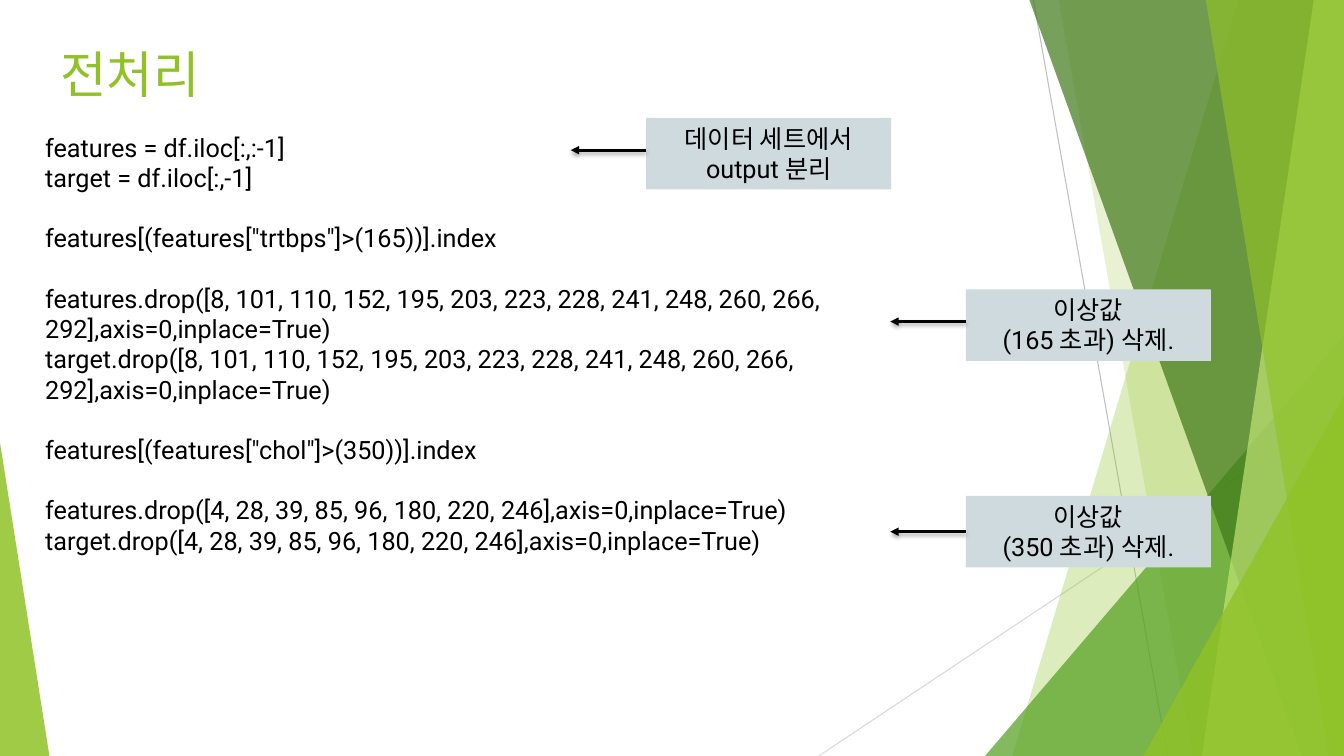
import pptx
import pptx.util
import pptx.dml.color
import pptx.enum.shapes
import pptx.enum.text
import pptx.oxml
import pptx.oxml.ns
from dataclasses import dataclass

Inches = pptx.util.Inches
Pt = pptx.util.Pt
RGBColor = pptx.dml.color.RGBColor
MSO_SHAPE = pptx.enum.shapes.MSO_SHAPE
PP_ALIGN = pptx.enum.text.PP_ALIGN


@dataclass(frozen=True)
class Theme:
    font: str = "Roboto"
    title_size: float = 36
    body_size: float = 18
    code_gap: float = 21.6
    lime: str = "90C226"
    pale_lime: str = "C0E474"
    green: str = "54A021"
    dark_green: str = "3F7819"
    callout: str = "CFDADF"
    ink: str = "000000"
    ray: str = "BFBFBF"
    pale_ray: str = "D9D9D9"


theme = Theme()


def write_text(shape, text, size=theme.body_size, color=theme.ink,
               align=PP_ALIGN.LEFT, anchor=pptx.enum.text.MSO_ANCHOR.TOP, gap=0):
    """One paragraph per line; a blank line becomes space before the next one."""
    frame = shape.text_frame
    frame.word_wrap = True
    frame.vertical_anchor = anchor
    for number, block in enumerate(text.split("\n\n")):
        for row, line in enumerate(block.split("\n")):
            first = number == 0 and row == 0
            paragraph = frame.paragraphs[0] if first else frame.add_paragraph()
            paragraph.alignment = align
            paragraph.space_before = Pt(gap if number and row == 0 else 0)
            run = paragraph.add_run()
            run.text = line
            run.font.name = theme.font
            run.font.size = Pt(size)
            run.font.color.rgb = RGBColor.from_string(color)


def paint(shape, color, opacity=100):
    shape.shadow.inherit = False
    shape.line.fill.background()
    shape.fill.solid()
    shape.fill.fore_color.rgb = RGBColor.from_string(color)
    if opacity < 100:
        color_element = shape.fill._xPr.find(".//" + pptx.oxml.ns.qn("a:srgbClr"))
        color_element.append(pptx.oxml.parse_xml(
            f'<a:alpha {pptx.oxml.ns.nsdecls("a")} val="{opacity * 1000}"/>'))


presentation = pptx.Presentation()
presentation.slide_width = Inches(13.33)
presentation.slide_height = Inches(7.5)
slide = presentation.slides.add_slide(presentation.slide_layouts[6])
shapes = slide.shapes
straight = pptx.enum.shapes.MSO_CONNECTOR.STRAIGHT

# Thin rays behind the facets
for x1, y1, x2, y2, color in [(10.25, 0, 11.58, 7.5, theme.ray),
                              (13.33, 4.03, 8.12, 7.5, theme.pale_ray)]:
    ray = shapes.add_connector(straight, Inches(x1), Inches(y1), Inches(x2), Inches(y2))
    ray.line.color.rgb = RGBColor.from_string(color)
    ray.line.width = Pt(0.75)
    ray._element.spPr.append(pptx.oxml.parse_xml(
        f'<a:effectLst {pptx.oxml.ns.nsdecls("a")}/>'))

# Facets: bands run from a top x to a bottom x and fill to the right edge;
# triangles have a left, top, width and the position of their apex
facets = [
    ("band", (12.28, 10.04), theme.lime, 30),
    ("band", (10.5, 11.83), theme.lime, 20),
    ("triangle", (9.77, 3.33, 3.56, 1), theme.green, 72),
    ("band", (10.21, 12.91), theme.dark_green, 70),
    ("band", (13.03, 11.92), theme.pale_lime, 70),
    ("band", (11.96, 13.18), theme.lime, 65),
    ("triangle", (11.34, 3.93, 1.99, 1), theme.lime, 80),
    ("triangle", (0, 4.39, 0.49, 0), theme.lime, 85),
]
for kind, geometry, color, opacity in facets:
    if kind == "band":
        top_x, bottom_x = geometry
        builder = shapes.build_freeform(Inches(top_x), 0)
        builder.add_line_segments([(Inches(x), Inches(y)) for x, y in
                                   [(13.33, 0), (13.33, 7.5), (bottom_x, 7.5)]])
        facet = builder.convert_to_shape()
    else:
        left, top, width, apex = geometry
        facet = shapes.add_shape(MSO_SHAPE.ISOSCELES_TRIANGLE, Inches(left), Inches(top),
                                 Inches(width), Inches(7.5 - top))
        facet.adjustments[0] = apex
    paint(facet, color, opacity)

# Title
title = shapes.add_textbox(Inches(0.5), Inches(0.38), Inches(1.82), Inches(0.83))
write_text(title, "전처리", size=theme.title_size, color=theme.lime)

# Code
code = shapes.add_textbox(Inches(0.35), Inches(1.26), Inches(9.23), Inches(4.34))
write_text(code, """features = df.iloc[:,:-1]
target = df.iloc[:,-1]

features[(features["trtbps"]>(165))].index

features.drop([8, 101, 110, 152, 195, 203, 223, 228, 241, 248, 260, 266, 292],axis=0,inplace=True)
target.drop([8, 101, 110, 152, 195, 203, 223, 228, 241, 248, 260, 266, 292],axis=0,inplace=True)

features[(features["chol"]>(350))].index

features.drop([4, 28, 39, 85, 96, 180, 220, 246],axis=0,inplace=True)
target.drop([4, 28, 39, 85, 96, 180, 220, 246],axis=0,inplace=True)""", gap=theme.code_gap)

# Callouts, each with an arrow pointing left at the code
callout_width, callout_height, arrow_length = 2.43, 0.71, 0.75
callouts = [
    (6.41, 1.17, 1.49, "데이터 세트에서 output 분리"),
    (9.58, 2.87, 3.19, "이상값\n(165 초과) 삭제."),
    (9.58, 4.92, 5.28, "이상값\n(350 초과) 삭제."),
]
for left, top, arrow_y, text in callouts:
    callout = shapes.add_shape(MSO_SHAPE.RECTANGLE, Inches(left), Inches(top),
                               Inches(callout_width), Inches(callout_height))
    paint(callout, theme.callout)
    write_text(callout, text, align=PP_ALIGN.CENTER)

    arrow = shapes.add_connector(straight, Inches(left), Inches(arrow_y),
                                 Inches(left - arrow_length), Inches(arrow_y))
    if abs(top + callout_height / 2 - arrow_y) < 0.01:
        arrow.begin_connect(callout, 1)
        arrow.end_y = arrow.begin_y
    arrow.line.color.rgb = RGBColor.from_string(theme.ink)
    arrow.line.width = Pt(2)
    arrow.line._get_or_add_ln().append(pptx.oxml.parse_xml(
        f'<a:tailEnd {pptx.oxml.ns.nsdecls("a")} type="triangle"/>'))
    arrow._element.spPr.append(pptx.oxml.parse_xml(
        f'<a:effectLst {pptx.oxml.ns.nsdecls("a")}>'
        f'<a:outerShdw blurRad="{Pt(3)}" dist="{Pt(2)}" dir="5400000" rotWithShape="0">'
        f'<a:srgbClr val="{theme.ink}"><a:alpha val="35000"/></a:srgbClr>'
        '</a:outerShdw></a:effectLst>'))

presentation.save("out.pptx")
